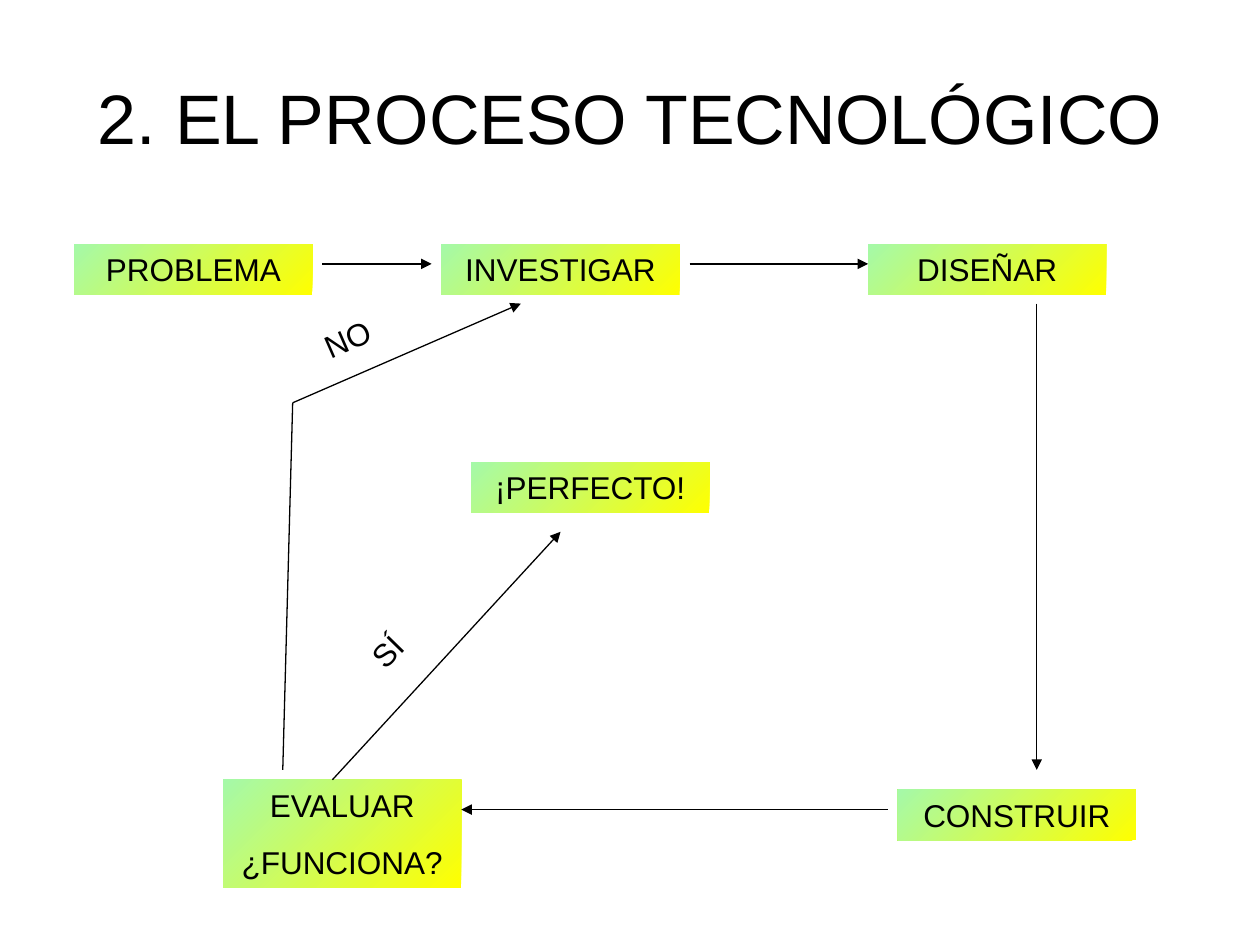
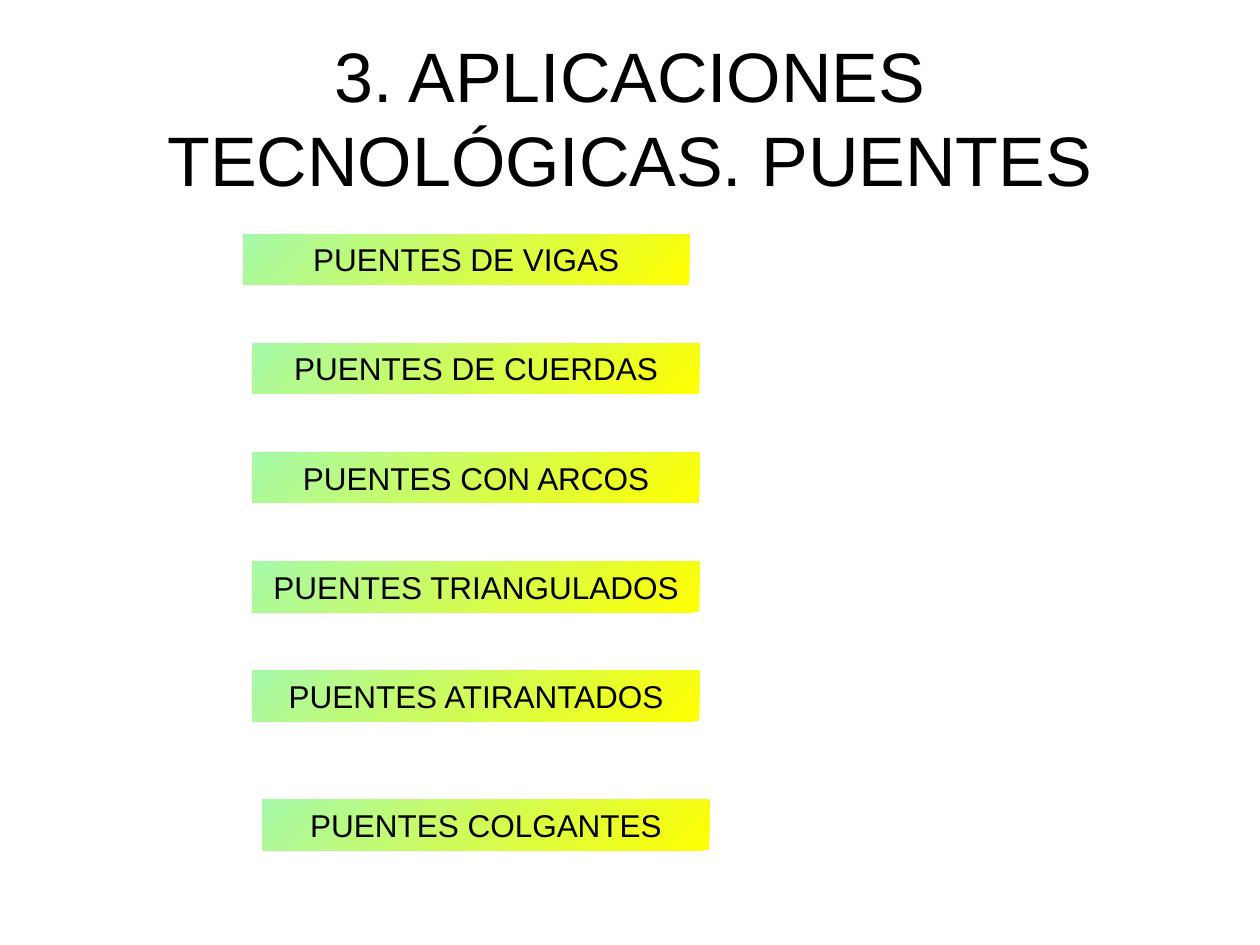
from lxml.etree import SubElement
from pptx import Presentation
from pptx.dml.color import RGBColor
from pptx.enum.shapes import MSO_CONNECTOR, MSO_SHAPE
from pptx.enum.text import MSO_ANCHOR, MSO_AUTO_SIZE, PP_ALIGN
from pptx.oxml.ns import qn
from pptx.util import Inches, Mm, Pt

BLACK, YELLOW, GREEN = "000000", "FFFF00", "A5F9A9"
CELL = Mm(2)
LEFT, TOP = 0.5 * CELL, 0.6 * CELL
BOX_ROWS = 5.1


def rgb(code):
    return RGBColor.from_string(code)


def write(shape, text, size, space_before=0):
    frame = shape.text_frame
    frame.word_wrap = True
    frame.text = text
    for paragraph in frame.paragraphs:
        paragraph.alignment = PP_ALIGN.CENTER
        paragraph.space_before = Pt(space_before)
        paragraph.line_spacing = Pt(1.2 * size)
        paragraph.font.name = "Arial"
        paragraph.font.size = Pt(size)
        paragraph.font.color.rgb = rgb(BLACK)
    return frame


process_steps = [
    ("PROBLEMA", 7, 24, 24, BOX_ROWS),
    ("INVESTIGAR", 44, 24, 24, BOX_ROWS),
    ("DISEÑAR", 87, 24, 24, BOX_ROWS),
    ("CONSTRUIR", 90, 79, 24, BOX_ROWS),
    ("EVALUAR\n¿FUNCIONA?", 22, 78, 24, 10.9),
    ("¡PERFECTO!", 47, 46, 24, BOX_ROWS),
]
process_flows = [
    (32, 26, 43, 26, True),
    (69, 26, 87, 26, True),
    (104, 30, 104, 77, True),
    (89, 81, 46, 81, True),
    (33, 78, 56, 53, True),
    (28, 77, 29, 40, False),
    (29, 40, 52, 30, True),
]
answers = [("SÍ", 34.5, 62.5, 8, 314.4), ("NO", 29, 31, 11, 336.3)]

bridge_types = [
    ("PUENTES DE VIGAS", 24, 23),
    ("PUENTES DE CUERDAS", 25, 34),
    ("PUENTES CON ARCOS", 25, 45),
    ("PUENTES TRIANGULADOS", 25, 56),
    ("PUENTES ATIRANTADOS", 25, 67),
    ("PUENTES COLGANTES", 26, 80),
]
bridges = [(name, col, row, 45, BOX_ROWS) for name, col, row in bridge_types]

deck = Presentation()
deck.slide_width, deck.slide_height = Inches(10), Inches(7.5)

for heading, boxes, flows, labels in [
    ("2. EL PROCESO TECNOLÓGICO", process_steps, process_flows, answers),
    ("3. APLICACIONES TECNOLÓGICAS. PUENTES", bridges, [], []),
]:
    slide = deck.slides.add_slide(deck.slide_layouts[6])
    title = slide.shapes.add_textbox(
        int(deck.slide_width * 0.05), int(deck.slide_height * 0.04),
        int(deck.slide_width * 0.9), Inches(1.25))
    write(title, heading, 40).vertical_anchor = MSO_ANCHOR.MIDDLE

    for text, col, row, cols, rows in boxes:
        box = slide.shapes.add_shape(
            MSO_SHAPE.RECTANGLE, int(LEFT + col * CELL), int(TOP + row * CELL),
            cols * CELL, int(rows * CELL))
        box.shadow.inherit = False
        box.line.fill.background()
        box.fill.gradient()
        box.fill.gradient_angle = 135
        for stop, position, color in zip(box.fill.gradient_stops, (0, 1), (YELLOW, GREEN)):
            stop.position = position
            stop.color.rgb = rgb(color)
        frame = write(box, text, 18, 11.2)
        frame.vertical_anchor = MSO_ANCHOR.TOP
        frame.auto_size = MSO_AUTO_SIZE.SHAPE_TO_FIT_TEXT

    for start_col, start_row, end_col, end_row, has_arrow in flows:
        flow = slide.shapes.add_connector(
            MSO_CONNECTOR.STRAIGHT,
            int(LEFT + start_col * CELL), int(TOP + start_row * CELL),
            int(LEFT + end_col * CELL), int(TOP + end_row * CELL))
        flow.line.color.rgb = rgb(BLACK)
        flow.line.width = Pt(0.75)
        if has_arrow:
            SubElement(flow.line._get_or_add_ln(), qn("a:tailEnd"), type="triangle")
        SubElement(flow._element.spPr, qn("a:effectLst"))

    for text, col, row, cols, rotation in labels:
        label = slide.shapes.add_textbox(
            int(LEFT + col * CELL), int(TOP + row * CELL),
            cols * CELL, int(BOX_ROWS * CELL))
        label.rotation = rotation
        write(label, text, 18, 11.2).auto_size = MSO_AUTO_SIZE.SHAPE_TO_FIT_TEXT

deck.save("out.pptx")
